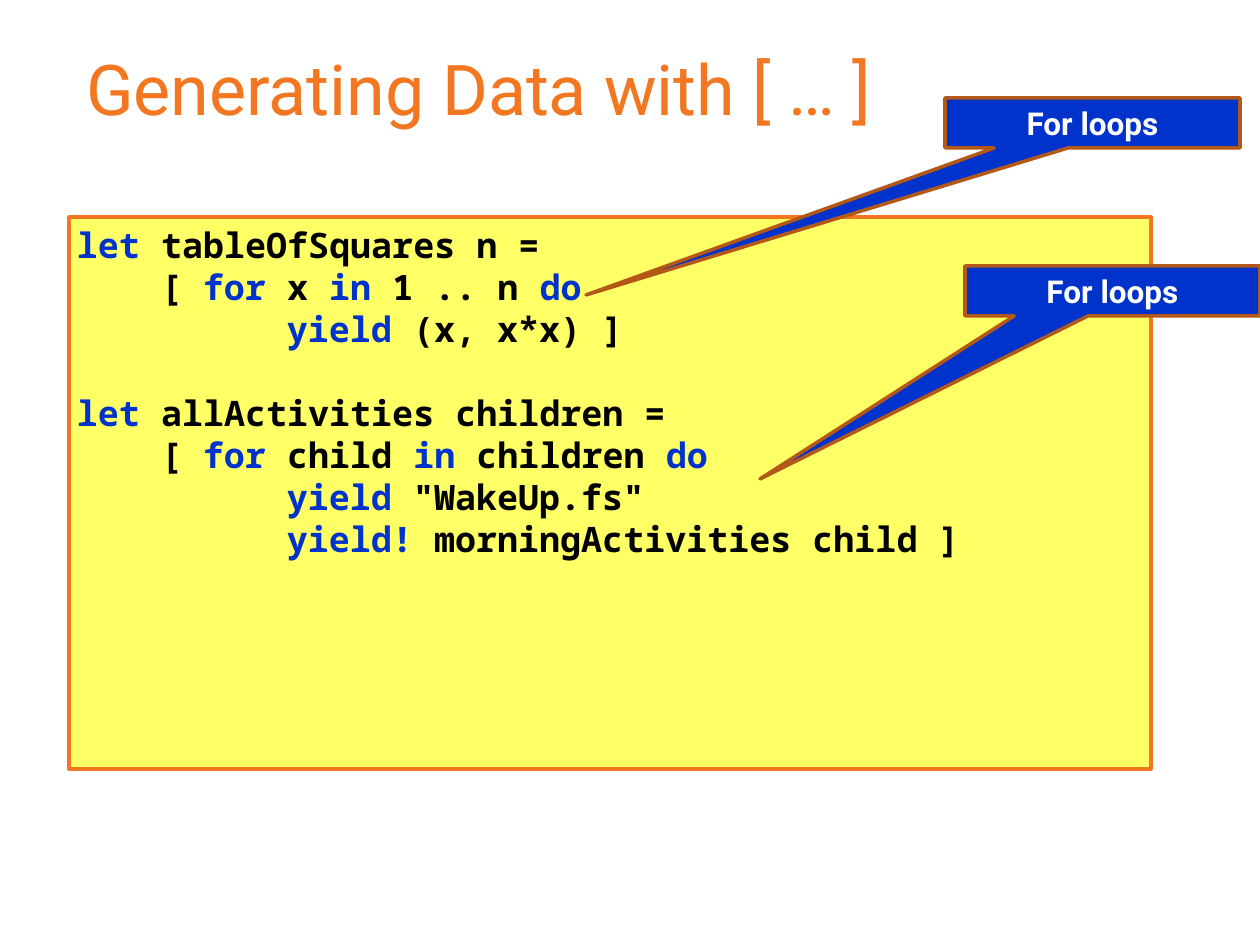
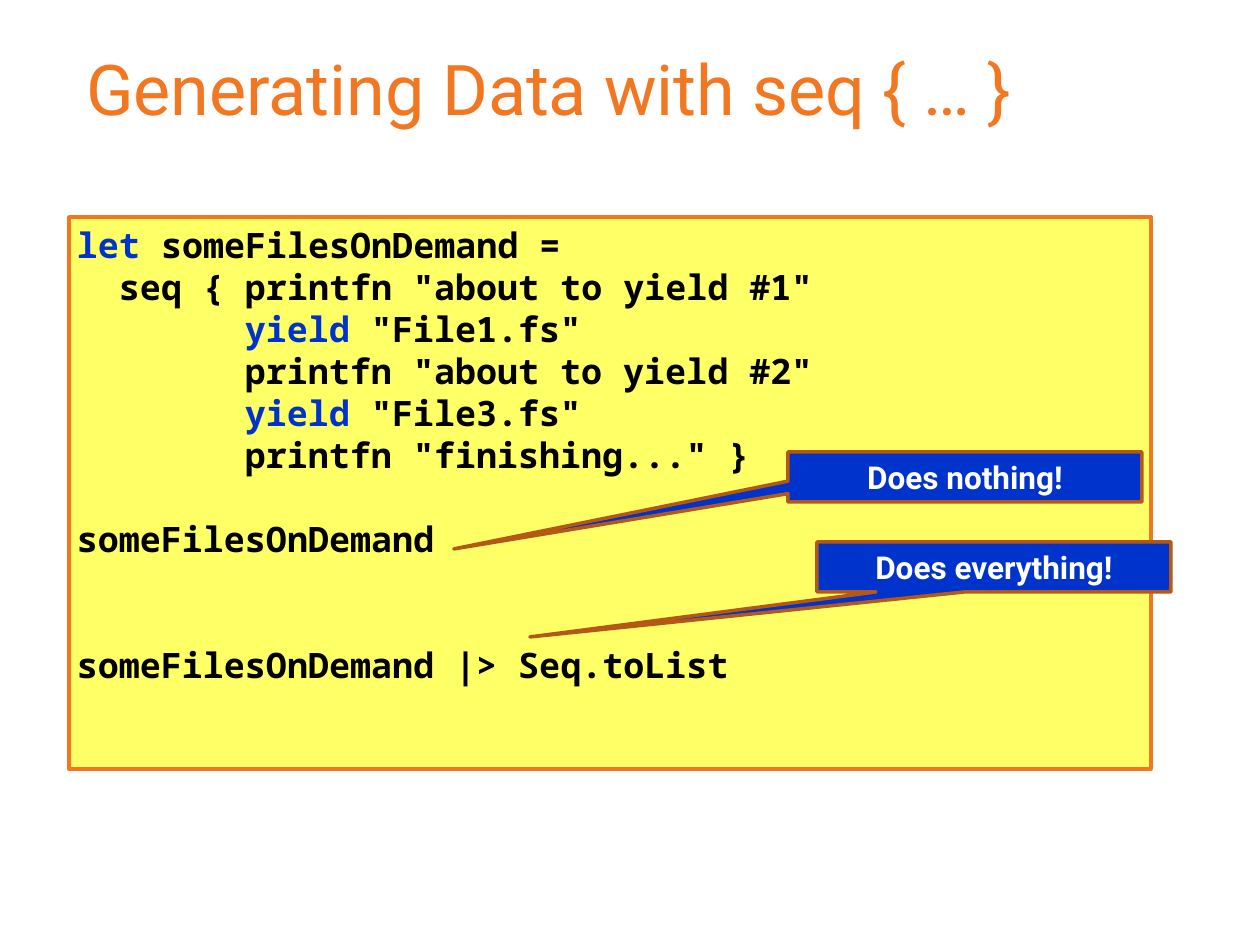
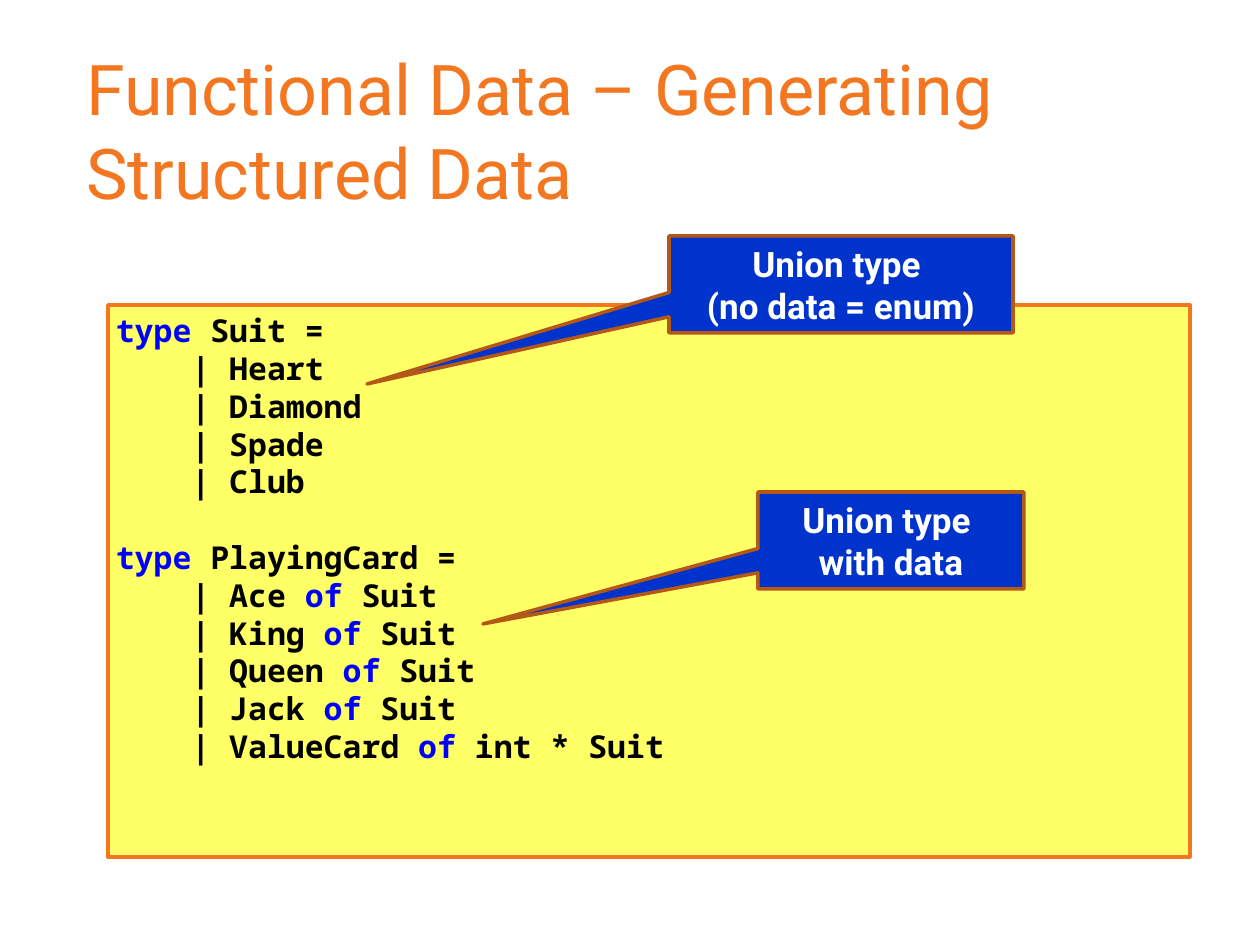
from pptx import Presentation
from pptx.dml.color import RGBColor
from pptx.enum.shapes import MSO_SHAPE as Shape
from pptx.enum.text import MSO_ANCHOR as Anchor, MSO_AUTO_SIZE as AutoSize, PP_ALIGN as Align
from pptx.util import Emu, Pt

ORANGE = RGBColor(0xF3, 0x77, 0x20)
BROWN = RGBColor(0xB4, 0x58, 0x18)
YELLOW = RGBColor(0xFF, 0xFF, 0x66)
BLUE = RGBColor(0x00, 0x33, 0xCC)
BRIGHT_BLUE = RGBColor(0x00, 0x00, 0xFF)
BLACK = RGBColor(0x00, 0x00, 0x00)
WHITE = RGBColor(0xFF, 0xFF, 0xFF)

EMU_PER_PX = 914400 / 126
CHAR_WIDTH = 0.6    # monospaced advance, in ems
LINE_HEIGHT = 1.2   # in ems

TITLE_FONT = {"name": "Roboto", "size": Pt(40), "bold": False}
CODE_FONT = {"name": "Noto Sans Mono", "bold": True}
CALLOUT_FONT = {"name": "Roboto", "bold": True}
CODE_FRAME = {"word_wrap": True, "vertical_anchor": Anchor.TOP,
              "margin_left": Pt(4.5), "margin_right": Pt(4.5),
              "margin_top": Pt(3.6), "margin_bottom": Pt(3.6)}
CALLOUT_FRAME = {"word_wrap": True, "vertical_anchor": Anchor.MIDDLE,
                 "auto_size": AutoSize.SHAPE_TO_FIT_TEXT}

# Backticks enclose keywords in the code
SQUARES_CODE = """\
`let `tableOfSquares n =
    [ `for `x `in `1 .. n `do`
          `yield `(x, x*x) ]

`let `allActivities children =
    [ `for `child `in `children `do`
          `yield `"WakeUp.fs"
          `yield! `morningActivities child ]"""

FILES_CODE = """\
`let `someFilesOnDemand =
  seq { printfn "about to yield #1"
        `yield` "File1.fs"
        printfn "about to yield #2"
        `yield` "File3.fs"
        printfn "finishing..." }

someFilesOnDemand


someFilesOnDemand |> Seq.toList"""

CARDS_CODE = """\
`type` Suit =
    | Heart
    | Diamond
    | Spade
    | Club

`type `PlayingCard =
    | Ace `of` Suit
    | King `of` Suit
    | Queen `of` Suit
    | Jack `of` Suit
    | ValueCard `of `int * Suit"""

# Callouts: lines, box (left, top, width, height), tip (x, y)
PAGES = [
    {"title": "Generating Data with [ … ]",
     "code": SQUARES_CODE, "code_at": (69, 217), "code_size": 20,
     "keyword": BLUE, "callout_size": 18,
     "callouts": [(["For loops"], (945, 98, 295, 50), (586, 295)),
                  (["For loops"], (965, 266, 295, 50), (760, 479))]},
    {"title": "Generating Data with seq { … }",
     "code": FILES_CODE, "code_at": (69, 217), "code_size": 20,
     "keyword": BLUE, "callout_size": 18,
     "callouts": [(["Does nothing!"], (788, 452, 354, 50), (454, 549)),
                  (["Does everything!"], (817, 542, 354, 50), (530, 637))]},
    {"title": "Functional Data – Generating Structured Data",
     "code": CARDS_CODE, "code_at": (108, 305), "code_size": 18,
     "keyword": BRIGHT_BLUE, "callout_size": 20,
     "callouts": [(["Union type ", "(no data = enum)"], (669, 236, 344, 97), (367, 384)),
                  (["Union type ", "with data"], (758, 492, 266, 97), (483, 624))]},
]


def px(*lengths):
    return [Emu(round(length * EMU_PER_PX)) for length in lengths]


def add_span(para, text, color, font):
    span = para.add_run()
    span.text = text
    span.font.color.rgb = color
    for name, value in font.items():
        setattr(span.font, name, value)


deck = Presentation()
deck.slide_width, deck.slide_height = px(1260, 945)

for content in PAGES:
    page = deck.slides.add_slide(deck.slide_layouts[6])

    # Title
    title = page.shapes.add_textbox(*px(74, 39, 1109, 158)).text_frame
    title.word_wrap = True
    add_span(title.paragraphs[0], content["title"], ORANGE, TITLE_FONT)

    # Panels: the code box first, then the callouts over it
    code_box = page.shapes.add_shape(Shape.RECTANGLE, *px(*content["code_at"], 1082, 552))
    panels = [(code_box, YELLOW, ORANGE, CODE_FRAME)]
    for lines, (left, top, width, height), (tip_x, tip_y) in content["callouts"]:
        box = page.shapes.add_shape(Shape.RECTANGULAR_CALLOUT, *px(left, top, width, height))
        box.adjustments[0] = round((tip_x - left - width / 2) / width, 3)
        box.adjustments[1] = round((tip_y - top - height / 2) / height, 3)
        panels.append((box, BLUE, BROWN, CALLOUT_FRAME))
        for number, line in enumerate(lines):
            frame = box.text_frame
            para = frame.add_paragraph() if number else frame.paragraphs[0]
            para.alignment = Align.CENTER
            add_span(para, line, WHITE, {**CALLOUT_FONT, "size": Pt(content["callout_size"])})

    for box, fill, outline, frame_format in panels:
        box.shadow.inherit = False
        box.fill.solid()
        box.fill.fore_color.rgb = fill
        box.line.color.rgb = outline
        box.line.width = Pt(2)
        for name, value in frame_format.items():
            setattr(box.text_frame, name, value)

    # Code: indents and gaps become paragraph margins and spacing
    size = content["code_size"]
    para = code_box.text_frame.paragraphs[0]
    gap = 0
    for number, line in enumerate(content["code"].splitlines()):
        if not line:
            gap += 1
            continue
        if number:
            para = code_box.text_frame.add_paragraph()
        para.alignment = Align.LEFT
        para.space_before = Pt(gap * LINE_HEIGHT * size)
        gap = 0
        code = line.lstrip()
        indent = Pt((len(line) - len(code)) * CHAR_WIDTH * size)
        para._p.get_or_add_pPr().set("marL", str(indent))
        for part, text in enumerate(code.split("`")):
            if text:
                color = content["keyword"] if part % 2 else BLACK
                add_span(para, text, color, {**CODE_FONT, "size": Pt(size)})

deck.save("out.pptx")
